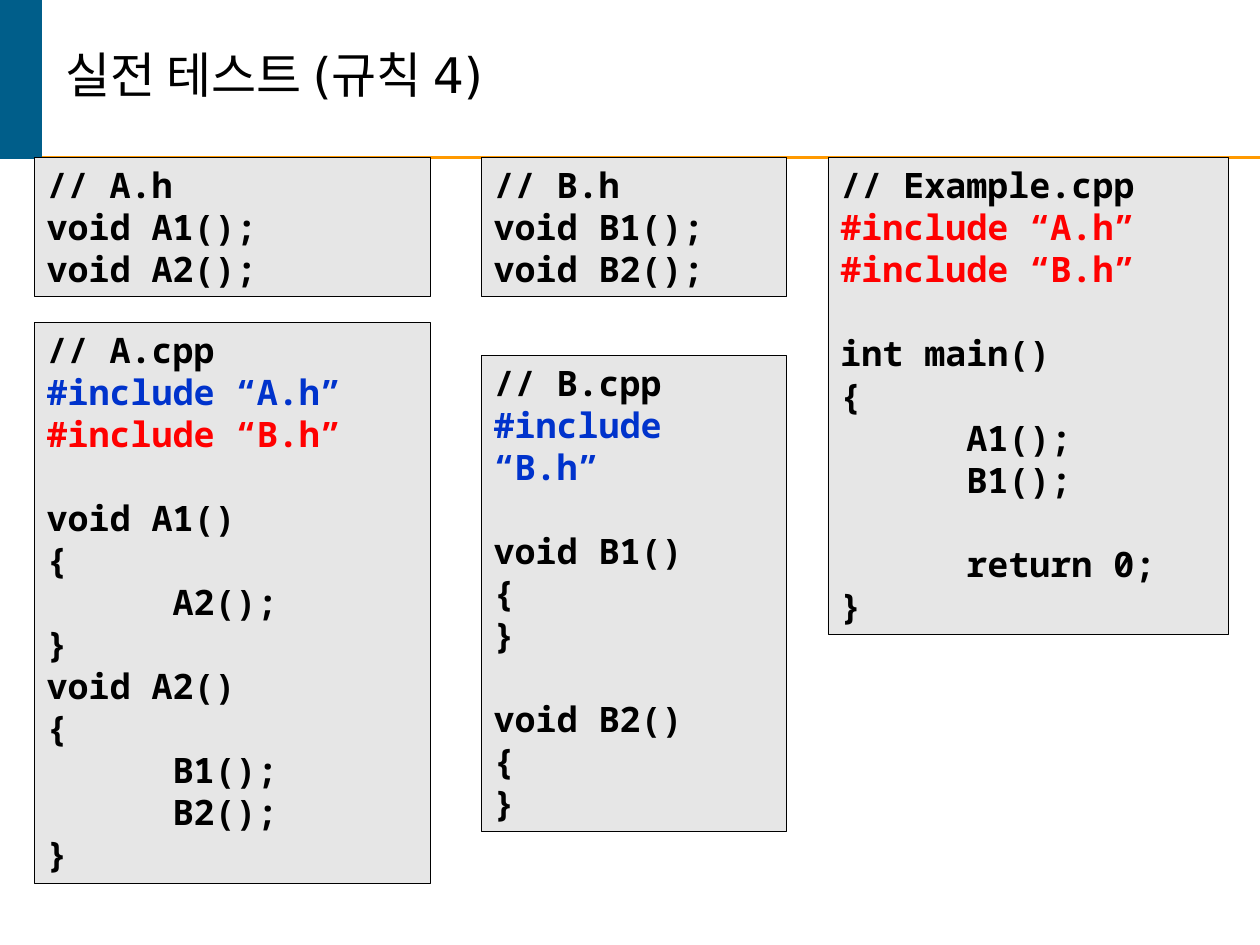
from lxml.etree import SubElement
from pptx import Presentation
from pptx.dml.color import RGBColor
from pptx.enum.shapes import MSO_CONNECTOR, MSO_SHAPE
from pptx.enum.text import MSO_ANCHOR, MSO_AUTO_SIZE, PP_ALIGN
from pptx.oxml.ns import qn
from pptx.util import Cm, Pt

THEME = {
    "black": "000000", "red": "FF0000", "blue": "0033CC",
    "bar": "005E8A", "rule": "FF9900", "panel": "E6E6E6",
    "title_font": "DejaVu Sans", "code_font": "Noto Sans Mono",
    "title_size": 28, "code_size": 20, "blank": 24,
}
TITLE = "실전 테스트 (규칙 4)"

# Lines to colour: (file, line) -> colour name
MARKS = {
    ("A.cpp", '#include “A.h”'): "blue",
    ("A.cpp", '#include “B.h”'): "red",
    ("B.cpp", '#include “B.h”'): "blue",
    ("Example.cpp", '#include “A.h”'): "red",
    ("Example.cpp", '#include “B.h”'): "red",
}

# Columns: left, width, then files as (name, top, rows on screen, code)
HEAD = 3.18
COLUMNS = [
    (16.69, 8.08, [
        ("Example.cpp", HEAD, 11, """#include “A.h”
#include “B.h”

int main()
{
\tA1();
\tB1();

\treturn 0;
}"""),
    ]),
    (0.69, 7.98, [
        ("A.h", HEAD, 3, """void A1();
void A2();"""),
        ("A.cpp", 6.5, 13, """#include “A.h”
#include “B.h”

void A1()
{
\tA2();
}
void A2()
{
\tB1();
\tB2();
}"""),
    ]),
    (9.7, 6.15, [
        ("B.h", HEAD, 3, """void B1();
void B2();"""),
        ("B.cpp", 7.16, 11, """#include “B.h”

void B1()
{
}

void B2()
{
}"""),
    ]),
]
ROW, PAD, TAB = 0.85, 0.25, 2.54


def tint(name):
    return RGBColor.from_string(THEME[name])


def write(para, text, font="code_font", size="code_size", color="black",
          bold=False, before=0, spacing=None):
    para.alignment = PP_ALIGN.LEFT
    para.space_before = Pt(before)
    if spacing:
        para.line_spacing = spacing
    if text.startswith("\t"):
        tabs = SubElement(para._p.get_or_add_pPr(), qn("a:tabLst"))
        SubElement(tabs, qn("a:tab"), pos=str(Cm(TAB)), algn="l")
    run = para.add_run()
    run.text = text
    run.font.name = THEME[font]
    run.font.size = Pt(THEME[size])
    run.font.color.rgb = tint(color)
    run.font.bold = bold


def add_box(slide, left, top, width, height, fill, line, weight):
    box = slide.shapes.add_shape(
        MSO_SHAPE.RECTANGLE, Cm(left), Cm(top), Cm(width), Cm(height))
    box.shadow.inherit = False
    box.fill.solid()
    box.fill.fore_color.rgb = tint(fill)
    box.line.color.rgb = tint(line)
    box.line.width = Pt(weight)
    return box


def add_code(slide, left, top, width, rows, name, code):
    box = add_box(slide, left, top, width, PAD + ROW * rows,
                  "panel", "black", 0.25)
    frame = box.text_frame
    frame.word_wrap = True
    frame.auto_size = MSO_AUTO_SIZE.SHAPE_TO_FIT_TEXT
    frame.vertical_anchor = MSO_ANCHOR.TOP
    para = frame.paragraphs[0]
    write(para, f"// {name}", bold=True)
    gap = 0
    for line in code.split("\n"):
        if not line:
            gap = THEME["blank"]
            continue
        write(frame.add_paragraph(), line, bold=True, before=gap,
              color=MARKS.get((name, line), "black"))
        gap = 0


def add_header(slide):
    rule = slide.shapes.add_connector(
        MSO_CONNECTOR.STRAIGHT, Cm(0), Cm(HEAD), Cm(25.4), Cm(HEAD))
    rule.line.color.rgb = tint("rule")
    rule.line.width = Pt(1.5)
    SubElement(rule._element.spPr, qn("a:effectLst"))
    add_box(slide, 0, 0, 0.84, HEAD, "bar", "bar", 1)

    title = slide.shapes.title
    title.left, title.top = Cm(1.07), Cm(0)
    title.width, title.height = Cm(23.7), Cm(HEAD)
    frame = title.text_frame
    frame.auto_size = MSO_AUTO_SIZE.NONE
    frame.vertical_anchor = MSO_ANCHOR.MIDDLE
    write(frame.paragraphs[0], TITLE, font="title_font", size="title_size",
          spacing=0.85)


def main():
    deck = Presentation()
    deck.slide_width, deck.slide_height = Cm(25.4), Cm(19.05)
    slide = deck.slides.add_slide(deck.slide_layouts[5])
    add_header(slide)
    for left, width, files in COLUMNS:
        for name, top, rows, code in files:
            add_code(slide, left, top, width, rows, name, code)
    deck.save("out.pptx")


if __name__ == "__main__":
    main()
